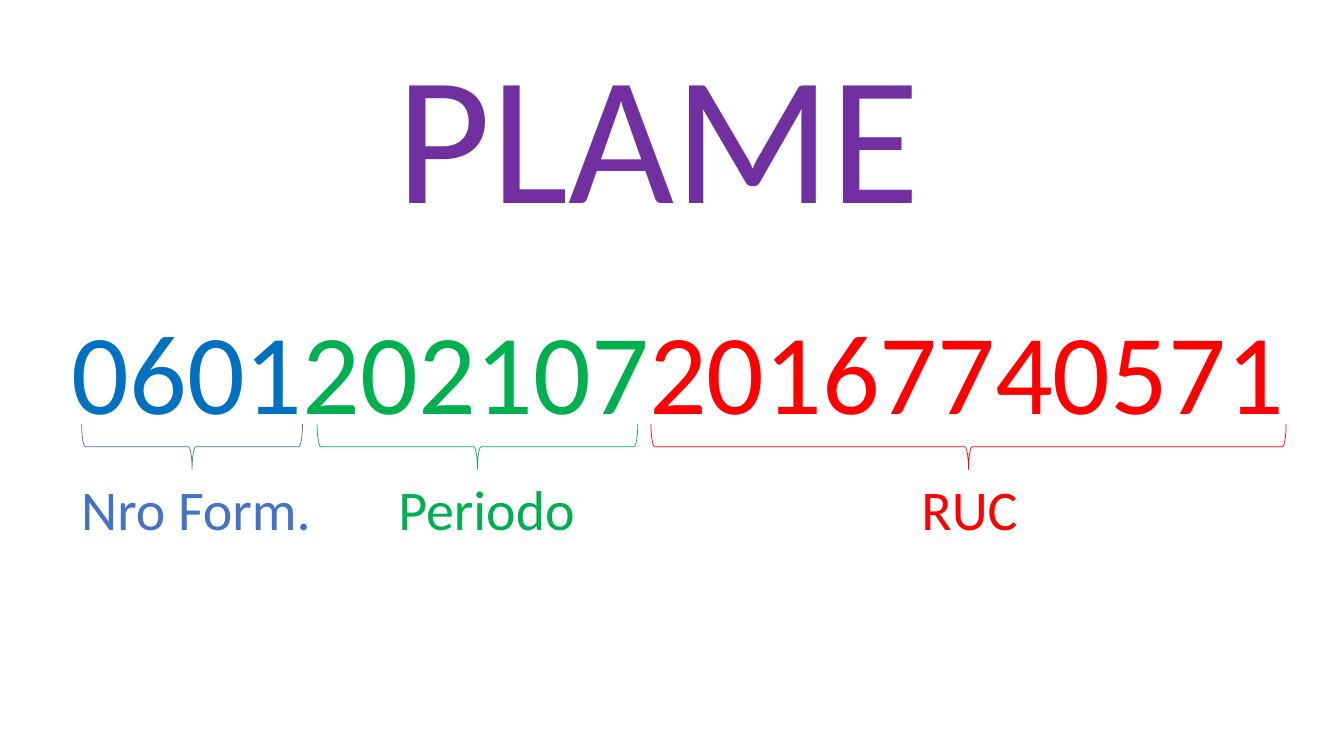
import pptx
import pptx.util
import pptx.dml.color
import pptx.enum.shapes
import pptx.enum.text

WIDTH = pptx.util.Inches(13.33)
HEIGHT = pptx.util.Inches(7.5)

SEGMENTS = [
    {"digits": "0601", "digit_color": "0070C0", "label": "Nro Form.", "color": "4472C4",
     "brace_center": 14.29, "brace_length": 16.43, "label_center": 14.59, "label_width": 18.83},
    {"digits": "202107", "digit_color": "00B050", "label": "Periodo", "color": "00B050",
     "brace_center": 35.52, "brace_length": 23.86, "label_center": 36.2, "label_width": 14.78},
    {"digits": "20167740571", "digit_color": "FF0000", "label": "RUC", "color": "FF0000",
     "brace_center": 72.06, "brace_length": 47.26, "label_center": 72.13, "label_width": 8.78},
]


def across(percent):
    return round(WIDTH * percent / 100)


def down(percent):
    return round(HEIGHT * percent / 100)


def rgb(color):
    return pptx.dml.color.RGBColor.from_string(color)


def add_run(paragraph, text, size, color, font="Calibri"):
    run = paragraph.add_run()
    run.text = text
    run.font.name = font
    run.font.size = pptx.util.Pt(size)
    run.font.color.rgb = rgb(color)


def add_text(slide, text, left, top, width, height, size, wrap=True, spacing=None, before=None):
    box = slide.shapes.add_textbox(across(left), down(top), across(width), down(height))
    frame = box.text_frame
    frame.word_wrap = wrap
    if not wrap:
        frame.auto_size = pptx.enum.text.MSO_AUTO_SIZE.SHAPE_TO_FIT_TEXT
    paragraph = frame.paragraphs[0]
    paragraph.alignment = pptx.enum.text.PP_ALIGN.CENTER
    if spacing is not None:
        paragraph.line_spacing = spacing
    if before is not None:
        paragraph.space_before = pptx.util.Pt(before)
    for words, color in text:
        add_run(paragraph, words, size, color)


def add_brace(slide, center, middle, length, color):
    thickness, span = down(6), across(length)
    brace = slide.shapes.add_shape(
        pptx.enum.shapes.MSO_SHAPE.RIGHT_BRACE,
        across(center) - thickness // 2, down(middle) - span // 2, thickness, span)
    brace.rotation = 90
    brace.shadow.inherit = False
    brace.fill.background()
    brace.line.color.rgb = rgb(color)
    brace.line.width = pptx.util.Pt(0.5)


def add_label(slide, text, center, width, color):
    add_text(slide, [(text, color)], center - width / 2, 62.13, width, 10.27, size=40, wrap=False)


def main():
    presentation = pptx.Presentation()
    presentation.slide_width = WIDTH
    presentation.slide_height = HEIGHT
    slide = presentation.slides.add_slide(presentation.slide_layouts[6])

    digits = [(segment["digits"], segment["digit_color"]) for segment in SEGMENTS]
    add_text(slide, digits, 3.75, 41.2, 93.4, 24.13, size=81.4, spacing=0.9, before=10)
    for segment in SEGMENTS:
        add_brace(slide, segment["brace_center"], 59.1, segment["brace_length"], segment["color"])
    for segment in SEGMENTS:
        add_label(slide, segment["label"], segment["label_center"], segment["label_width"],
                  segment["color"])
    add_text(slide, [("PLAME", "7030A0")], 2.33, 10, 93.4, 24.13,
             size=130.9, spacing=0.7, before=10)

    presentation.save("out.pptx")


main()
